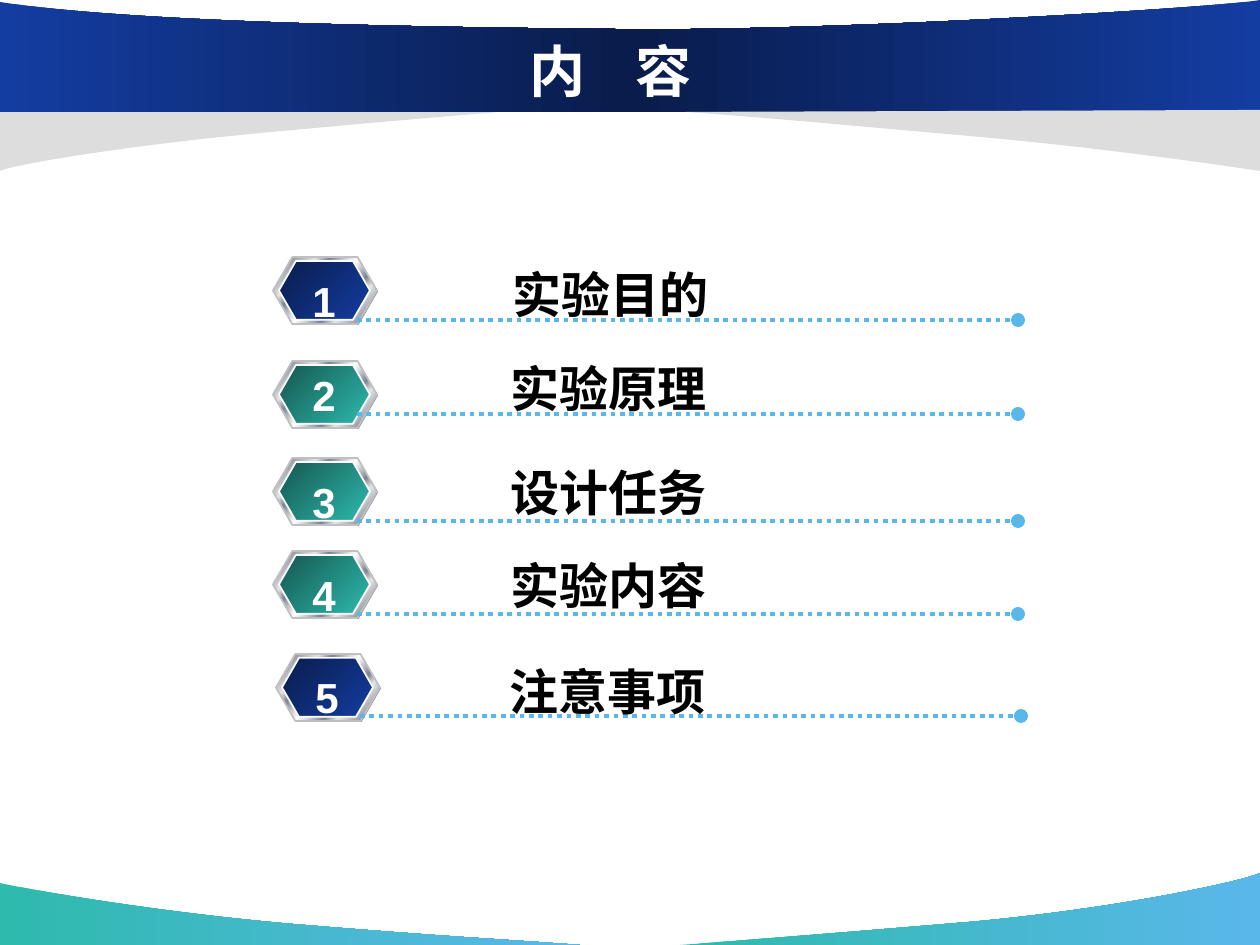
from lxml import etree
from pptx import Presentation, util as u
from pptx.dml.color import RGBColor
from pptx.enum import dml, shapes, text
from pptx.oxml.ns import qn

CJK, LATIN = "Noto Sans CJK SC", "Arial"
WHITE, BLACK, SKY, GREY = "FFFFFF", "000000", "5AB7EA", "DDDDDD"
NAVY = [(0, "091C4B"), (100, "143DA2")]
TEAL = [(0, "155650"), (100, "2EBAAD")]
SEA = [(0, "2EBAAD"), (100, SKY)]
BANNER = [(0, "143DA2"), (50, "091C4B"), (100, "143DA2")]
METAL = [(0, "E6E6E6"), (8, "7D8496"), (26, "E6E6E6"), (34, "7D8496"),
         (46, "E6E6E6"), (50, "FFFFFF"), (54, "E6E6E6"), (66, "7D8496"),
         (74, "E6E6E6"), (92, "7D8496"), (100, "E6E6E6")]

TITLE = ("内", " ", "容")
TITLE_GAP = 1600  # extra width of the space, in hundredths of a point
# topic, badge colours, badge left, badge top, rule y, topic left, top, width
TOPICS = [
    ("实验目的", NAVY, 273, 257, 320, 496, 256, 858),
    ("实验原理", TEAL, 273, 361, 414, 494, 350, 858),
    ("设计任务", TEAL, 273, 458, 521, 494, 454, 808),
    ("实验内容", TEAL, 273, 551, 614, 494, 547, 808),
    ("注意事项", NAVY, 276, 654, 716, 493, 653, 234),
]
# Outlines in px: a pair is a corner, six numbers are a Bézier curve
BOTTOM_BANDS = [
    (SEA, [(580, 945), (484, 938, 450, 937, 292, 924),
           (133, 910, 2, 884, 0, 883), (0, 945)]),
    (SEA, [(680, 945), (773, 938, 813, 935, 969, 922),
           (1124, 908, 1247, 880, 1260, 873), (1260, 945)]),
]
TOP_BANDS = [
    (GREY, [(500, 112), (417, 119, 402, 120, 262, 133),
            (123, 146, 12, 165, 0, 171), (0, 110)]),
    (BANNER, [(0, 112), (1260, 111), (1260, 0), (1215, 8, 823, 32, 613, 29),
              (405, 27, 128, 22, 0, 2)]),
    (GREY, [(686, 112), (781, 119, 810, 122, 968, 136),
            (1127, 150, 1258, 171, 1260, 171), (1260, 110)]),
]


def px(n):
    return u.Emu(round(n * 914400 / 168))


def rgb(value):
    return RGBColor.from_string(value)


def paint(shape, fill, angle=0, outline=None):
    """Fill with one colour or with gradient stops; outline is optional."""
    shape.shadow.inherit = False
    if isinstance(fill, str):
        shape.fill.solid()
        shape.fill.fore_color.rgb = rgb(fill)
    else:
        shape.fill.gradient()
        grad = shape._element.spPr.find(qn("a:gradFill"))
        for child in list(grad):
            grad.remove(child)
        stops = etree.SubElement(grad, qn("a:gsLst"))
        for position, colour in fill:
            stop = etree.SubElement(stops, qn("a:gs"), pos=str(position * 1000))
            etree.SubElement(stop, qn("a:srgbClr"), val=colour)
        etree.SubElement(grad, qn("a:lin"), ang=str(angle * 60000), scaled="0")
    if outline:
        shape.line.color.rgb = rgb(outline)
        shape.line.width = u.Pt(0.75)
    else:
        shape.line.fill.background()


def write(frame, words, size, face, colour, align):
    paragraph = frame.paragraphs[0]
    paragraph.alignment = align
    for word in words:
        run = paragraph.add_run()
        run.text = word
        run.font.size, run.font.bold, run.font.name = u.Pt(size), True, face
        run.font.color.rgb = rgb(colour)
        etree.SubElement(run.font._element, qn("a:ea"), typeface=face)


def add_band(slide, fill, outline):
    """Draw the corners first, then bend the segments that are curves."""
    corners = [(px(part[-2]), px(part[-1])) for part in outline]
    builder = slide.shapes.build_freeform(*corners[0], scale=1.0)
    builder.add_line_segments(corners[1:], close=True)
    band = builder.convert_to_shape()
    segments = list(band._element.iter(qn("a:lnTo")))
    for part, segment in zip(outline[1:], segments):
        if len(part) == 6:
            curve = etree.Element(qn("a:cubicBezTo"))
            for x, y in zip(part[::2], part[1::2]):
                etree.SubElement(curve, qn("a:pt"), x=str(px(x) - band.left),
                                 y=str(px(y) - band.top))
            segment.getparent().replace(segment, curve)
    paint(band, fill)


def add_hexagon(parent, left, top, width, height, fill, outline=None):
    hexagon = parent.add_shape(shapes.MSO_SHAPE.HEXAGON,
                               px(left), px(top), px(width), px(height))
    hexagon.adjustments[0] = 0.289
    paint(hexagon, fill, 45, outline)


def add_topic(slide, number, topic, colours, left, top, rule_y,
              topic_left, topic_top, topic_width):
    group = slide.shapes.add_group_shape().shapes
    # Badge: shade, metal rim, coloured face
    add_hexagon(group, left + 1, top + 1, 104, 67, "808080")
    add_hexagon(group, left, top, 104, 67, METAL, "C0C0C0")
    add_hexagon(group, left + 6, top + 4, 91, 59, colours, WHITE)
    # Dotted rule
    rule = group.add_connector(shapes.MSO_CONNECTOR.STRAIGHT, px(left + 84),
                               px(rule_y), px(left + 745), px(rule_y))
    rule.line.color.rgb = rgb(SKY)
    rule.line.width = u.Pt(2)
    rule.line.dash_style = dml.MSO_LINE.ROUND_DOT
    etree.SubElement(rule.line._get_or_add_ln(), qn("a:tailEnd"), type="oval")
    etree.SubElement(rule._element.spPr, qn("a:effectLst"))
    # Topic and number
    label = group.add_textbox(px(topic_left), px(topic_top),
                              px(topic_width), px(76)).text_frame
    label.word_wrap = True
    write(label, [topic], 21, CJK, BLACK, text.PP_ALIGN.LEFT)
    digit = group.add_textbox(px(left + 22), px(rule_y - 53), px(58), px(67)).text_frame
    digit.word_wrap = False
    write(digit, [str(number)], 18, LATIN, WHITE, text.PP_ALIGN.CENTER)


def main():
    deck = Presentation()
    deck.slide_width, deck.slide_height = px(1260), px(945)
    slide = deck.slides.add_slide(deck.slide_layouts[5])

    # Curved bands
    for fill, outline in BOTTOM_BANDS + TOP_BANDS:
        add_band(slide, fill, outline)

    # Title, raised above the banner
    title = slide.shapes.title
    title.left, title.top, title.width, title.height = px(116), px(32), px(988), px(77)
    title.text_frame.vertical_anchor = text.MSO_ANCHOR.MIDDLE
    write(title.text_frame, TITLE, 24, CJK, WHITE, text.PP_ALIGN.CENTER)
    title.text_frame.paragraphs[0].runs[1].font._element.set("spc", str(TITLE_GAP))
    slide.shapes._spTree.append(title._element)

    # Numbered topics
    for number, topic in enumerate(TOPICS, 1):
        add_topic(slide, number, *topic)

    deck.save("out.pptx")


if __name__ == "__main__":
    main()
